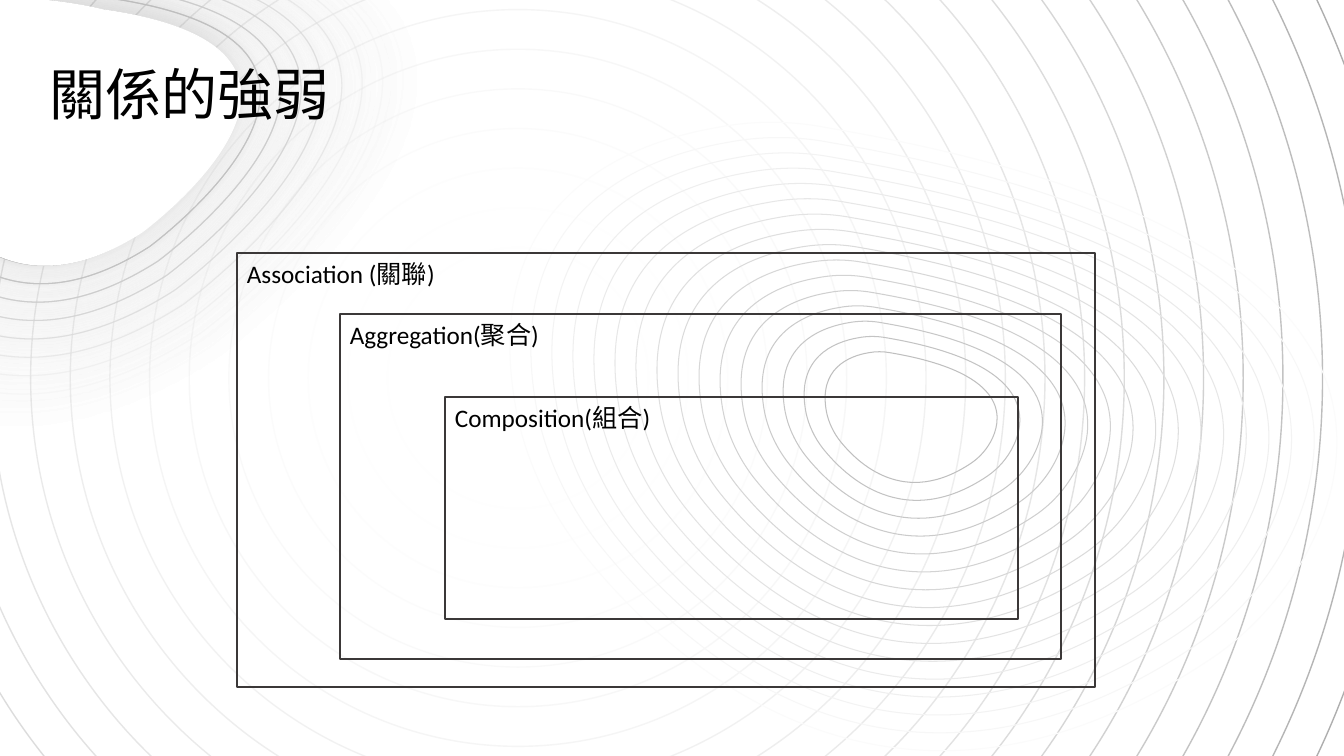
import math
from pptx import Presentation, util as u
from pptx.dml import color
from pptx.enum import shapes, text
from pptx.oxml import ns
from lxml import etree

PX = 914400 / 100.8
CJK = "Noto Sans CJK SC"
tint = color.RGBColor.from_string

deck = Presentation()
deck.slide_width, deck.slide_height = round(1344 * PX), round(756 * PX)
slide = deck.slides.add_slide(deck.slide_layouts[6])
items = slide.shapes


def paint(shape, line, width, alpha=1, fill=None, glow=None):
    """Set line and fill; glow is (colour, opacity, blur, distance, angle)."""
    shape.shadow.inherit = False
    if fill:
        shape.fill.solid()
        shape.fill.fore_color.rgb = tint(fill)
    else:
        shape.fill.background()
    shape.line.color.rgb = tint(line)
    shape.line.width = u.Pt(width)
    props = shape._element.spPr
    if alpha < 1:
        shade = props.find(ns.qn("a:ln")).find(".//" + ns.qn("a:srgbClr"))
        etree.SubElement(shade, ns.qn("a:alpha"), val=str(round(alpha * 100000)))
    if glow:
        hue, part, blur, dist, angle = glow
        cast = etree.SubElement(
            props.find(ns.qn("a:effectLst")), ns.qn("a:outerShdw"),
            blurRad=str(u.Pt(blur)), dist=str(u.Pt(dist)),
            dir=str(angle * 60000), algn="ctr", rotWithShape="0")
        shade = etree.SubElement(cast, ns.qn("a:srgbClr"), val=hue)
        etree.SubElement(shade, ns.qn("a:alpha"), val=str(part * 1000))


def blob(curve, mid, size, tilt):
    """Draw a closed run of Bezier curves, scaled about mid and turned by tilt."""
    turn = math.radians(tilt)
    cos, sin = math.cos(turn) * size, math.sin(turn) * size
    knots = [(round((mid[0] + x * cos + y * sin) * PX),
              round((mid[1] + y * cos - x * sin) * PX)) for x, y in curve]
    # Points along the curves give the outline its true bounds
    dots = [knots[0]]
    for k in range(0, len(knots) - 1, 3):
        for n in range(1, 17):
            t = n / 16
            dots.append(tuple(
                round((1 - t) ** 3 * p + 3 * t * (1 - t) ** 2 * q
                      + 3 * t * t * (1 - t) * r + t ** 3 * s)
                for p, q, r, s in zip(*knots[k:k + 4])))
    pen = items.build_freeform(*dots[0])
    pen.add_line_segments(dots[1:], close=True)
    shape = pen.convert_to_shape()
    trace = shape._element.spPr.find(".//" + ns.qn("a:path"))
    for part in list(trace):
        trace.remove(part)
    for k, (x, y) in enumerate(knots):
        if k == 0:
            step = etree.SubElement(trace, ns.qn("a:moveTo"))
        elif k % 3 == 1:
            step = etree.SubElement(trace, ns.qn("a:cubicBezTo"))
        etree.SubElement(step, ns.qn("a:pt"),
                         x=str(x - shape.left), y=str(y - shape.top))
    etree.SubElement(trace, ns.qn("a:close"))
    shape.rotation = tilt
    return shape


# Wide circles fading inwards
for n in range(21):
    wide = 1847 - 79.3 * n
    ring = items.add_shape(
        shapes.MSO_SHAPE.OVAL, round((518 - wide / 2) * PX),
        round((378 - wide / 2) * PX), round(wide * PX), round(wide * PX))
    paint(ring, f"{round(166 + 4.24 * n):02X}" * 3, 1, 1 - n / 21)

# Corner rings, two layers, around a white centre
CORNER = [(61, -201), (61, -201), (-432, -328), (-339, 34),
          (-339, 34), (-210, 458), (138, 235),
          (138, 235), (622, -122), (61, -201)]
for n in [*range(1, 9), *range(1, 10)]:
    ring = blob(CORNER, (70, 112), 1 - 0.0612 * (n - 1), 248.1)
    paint(ring, f"{round(255 - 64 * n / 9):02X}" * 3, 0.75, n / 9,
          glow=("323232", 50, 10, 0, 0))
paint(blob(CORNER, (71, 112), 0.51, 248.1), "FFFFFF", 0.75, fill="FFFFFF",
      glow=("000000", 15, 20, 3, 225))

# Contour rings growing outwards
CONTOUR = [(-191, -285), (-284, -269), (-432, -210), (-391, 1),
           (-381, 50), (-358, 98), (-327, 138),
           (-238, 250), (-16, 459), (302, 247),
           (347, 217), (384, 174), (407, 124),
           (460, 7), (458, -193), (-82, -285),
           (-118, -292), (-155, -292), (-191, -285)]
for n in range(16):
    ring = blob(CONTOUR, (908, 412), 0.208 + 0.0528 * n, 313.8)
    paint(ring, f"{191 + 4 * n:02X}" * 3, 0.75)

# Title and nested boxes: words, place, size, font, boxed
LABELS = [
    ("關係的強弱", (40, 55, 303, 78), 40, CJK, False),
    ("Association (關聯)", (237, 253, 858, 434), 18, "Calibri", True),
    ("Aggregation(聚合)", (340, 314, 721, 345), 18, "Calibri", True),
    ("Composition(組合)", (445, 397, 573, 222), 18, "Calibri", True),
]
for words, place, size, face, boxed in LABELS:
    spot = [round(v * PX) for v in place]
    if boxed:
        shape = items.add_shape(shapes.MSO_SHAPE.RECTANGLE, *spot)
        paint(shape, "3B3838", 1.5)
    else:
        shape = items.add_textbox(*spot)
    frame = shape.text_frame
    frame.word_wrap = boxed
    frame.vertical_anchor = text.MSO_ANCHOR.TOP
    para = frame.paragraphs[0]
    para.alignment = text.PP_ALIGN.LEFT
    run = para.add_run()
    run.text = words
    for key, val in {"name": face, "size": u.Pt(size)}.items():
        setattr(run.font, key, val)
    run.font.color.rgb = tint("000000")
    etree.SubElement(run._r.get_or_add_rPr(), ns.qn("a:ea"), typeface=CJK)

deck.save("out.pptx")
